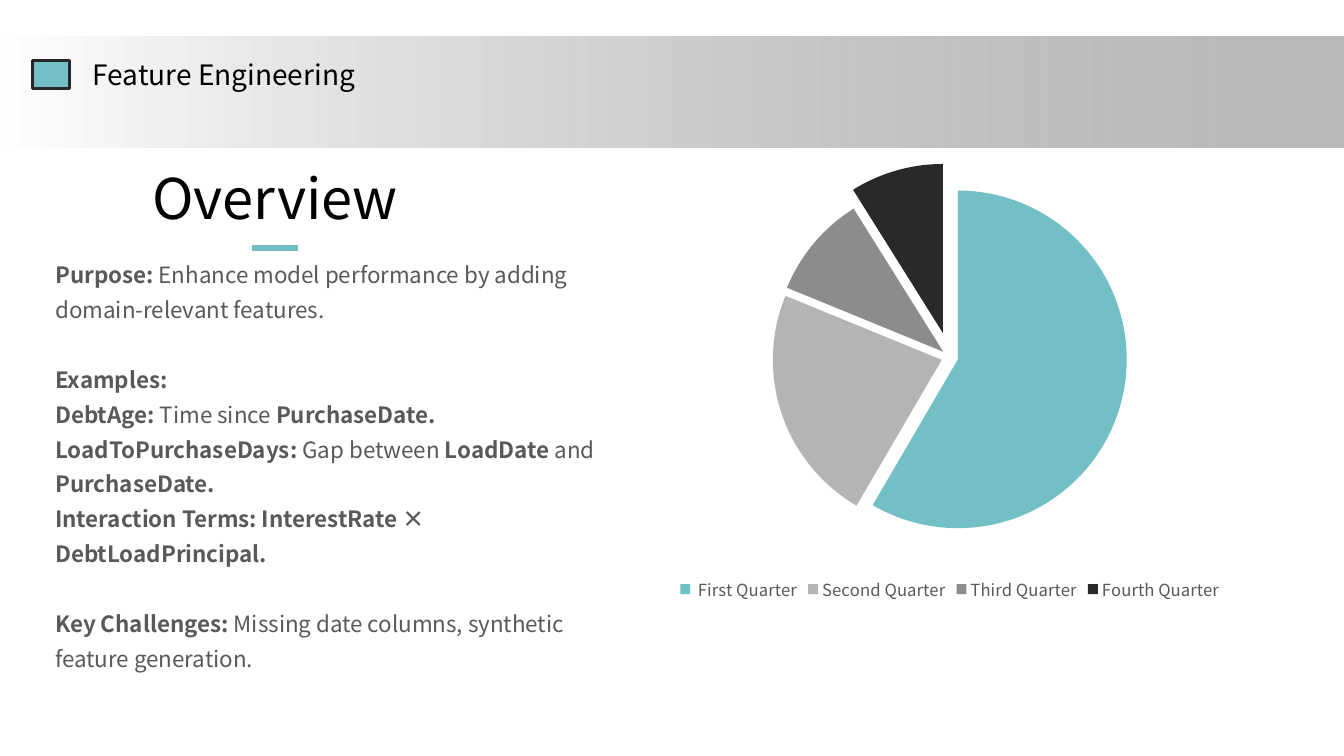
from dataclasses import dataclass

from lxml import etree
from pptx import Presentation
from pptx.chart.data import CategoryChartData as ChartData
from pptx.dml.color import RGBColor as Rgb
from pptx.enum.chart import XL_CHART_TYPE as Chart, XL_LEGEND_POSITION as Legend
from pptx.enum.shapes import MSO_CONNECTOR as Link, MSO_SHAPE as Shape
from pptx.enum.text import MSO_AUTO_SIZE as Fit, PP_ALIGN as Align
from pptx.oxml.ns import qn
from pptx.util import Inches, Pt


@dataclass(frozen=True)
class Theme:
    teal: str = "72BFC5"
    black: str = "000000"
    gray: str = "595959"
    edge: str = "262626"
    fade: tuple = ("FFFFFF", "808080")
    slices: tuple = ("72BFC5", "B4B4B4", "8C8C8C", "292929")
    font: str = "Noto Sans CJK SC"
    strong: str = "Noto Sans CJK JP"
    title: float = 40
    head: float = 20
    body: float = 16
    key: float = 11.9


class Deck:
    def __init__(self, theme):
        self.theme = theme
        self.file = Presentation()
        self.file.slide_width = Inches(13.33)
        self.file.slide_height = Inches(7.5)
        self.slide = self.file.slides.add_slide(self.file.slide_layouts[6])
        self.shapes = self.slide.shapes

    def rect(self, *place):
        box = self.shapes.add_shape(Shape.RECTANGLE, *map(Inches, place))
        box.shadow.inherit = False
        return box

    def band(self, *place):
        """Add a bar that fades from left to right into a half-clear gray."""
        bar = self.rect(*place)
        bar.line.fill.background()
        bar.fill.gradient()
        bar.fill.gradient_angle = 0
        for stop, color, pos in zip(bar.fill.gradient_stops, self.theme.fade, (0, 1)):
            stop.color.rgb = Rgb.from_string(color)
            stop.position = pos
        last = bar.fill._fill._gradFill.findall(".//" + qn("a:srgbClr"))[-1]
        etree.SubElement(last, qn("a:alpha"), val="54000")

    def badge(self, *place):
        box = self.rect(*place)
        box.fill.solid()
        box.fill.fore_color.rgb = Rgb.from_string(self.theme.teal)
        box.line.color.rgb = Rgb.from_string(self.theme.edge)
        box.line.width = Pt(2.25)

    def rule(self, *ends):
        line = self.shapes.add_connector(Link.STRAIGHT, *map(Inches, ends))
        line.line.color.rgb = Rgb.from_string(self.theme.teal)
        line.line.width = Pt(4.5)
        etree.SubElement(line._element.spPr, qn("a:effectLst"))

    def style(self, font, size, color, bold=False):
        font.name = self.theme.strong if bold else self.theme.font
        font.size, font.bold = Pt(size), bold
        font.color.rgb = Rgb.from_string(color)

    def text(self, place, paras, size, color, wrap=True, align=Align.LEFT,
             space=1, gap=0, breaks=()):
        """Add paragraphs of (words, bold) runs; gap goes before those in breaks."""
        frame = self.shapes.add_textbox(*map(Inches, place)).text_frame
        frame.word_wrap = wrap
        frame.auto_size = Fit.SHAPE_TO_FIT_TEXT
        for at, runs in enumerate(paras):
            para = frame.add_paragraph() if at else frame.paragraphs[0]
            para.alignment, para.line_spacing = align, space
            if at in breaks:
                para.space_before = Pt(gap)
            for words, bold in runs:
                run = para.add_run()
                run.text = words
                self.style(run.font, size, color, bold)

    def pie(self, place, data):
        table = ChartData()
        table.categories = list(data)
        table.add_series("Series 1", list(data.values()))
        chart = self.shapes.add_chart(Chart.PIE, *map(Inches, place), table).chart
        chart.has_title = False
        self.style(chart.font, self.theme.key, self.theme.gray)
        chart.has_legend = True
        chart.legend.position = Legend.BOTTOM
        chart.legend.include_in_layout = False
        self.style(chart.legend.font, self.theme.key, self.theme.gray)
        plot = chart.plots[0]
        plot.vary_by_categories = True
        series = plot.series[0]
        for at, color in enumerate(self.theme.slices):
            part = series.points[at].format
            part.fill.solid()
            part.fill.fore_color.rgb = Rgb.from_string(color)
            part.line.fill.background()
        for at, point in enumerate(series._element.findall(qn("c:dPt"))):
            burst = etree.Element(qn("c:explosion"), val="15" if at == 3 else "5")
            point.find(qn("c:spPr")).addprevious(burst)


def main():
    theme = Theme()
    deck = Deck(theme)
    deck.band(0, 0.36, 13.33, 1.1)
    deck.pie((6.02, 1.48, 6.8, 4.53), {
        " First Quarter": 59, "Second Quarter": 23,
        "Third Quarter": 10, "Fourth Quarter": 9})
    deck.text((0.82, 0.52, 2.96, 0.77), [[("Feature Engineering", False)]],
              theme.head, theme.black, wrap=False)
    deck.badge(0.32, 0.6, 0.37, 0.28)
    deck.rule(2.5, 2.46, 2.96, 2.46)
    notes = [
        [("Purpose:", True),
         (" Enhance model performance by adding domain-relevant features.", False)],
        [("Examples:", True)],
        [("DebtAge: ", True), ("Time since ", False), ("PurchaseDate.", True)],
        [("LoadToPurchaseDays:", True), (" Gap between ", False),
         ("LoadDate", True), (" and ", False), ("PurchaseDate.", True)],
        [("Interaction Terms: InterestRate × DebtLoadPrincipal.", True)],
        [("Key Challenges:", True),
         (" Missing date columns, synthetic feature generation.", False)],
    ]
    deck.text((0.45, 2.46, 5.57, 4.65), notes, theme.body, theme.gray,
              space=1.3, gap=25, breaks=(1, 5))
    deck.text((0.21, 1.57, 5.04, 0.77), [[("Overview", False)]],
              theme.title, theme.black, align=Align.CENTER)
    deck.file.save("out.pptx")


if __name__ == "__main__":
    main()
